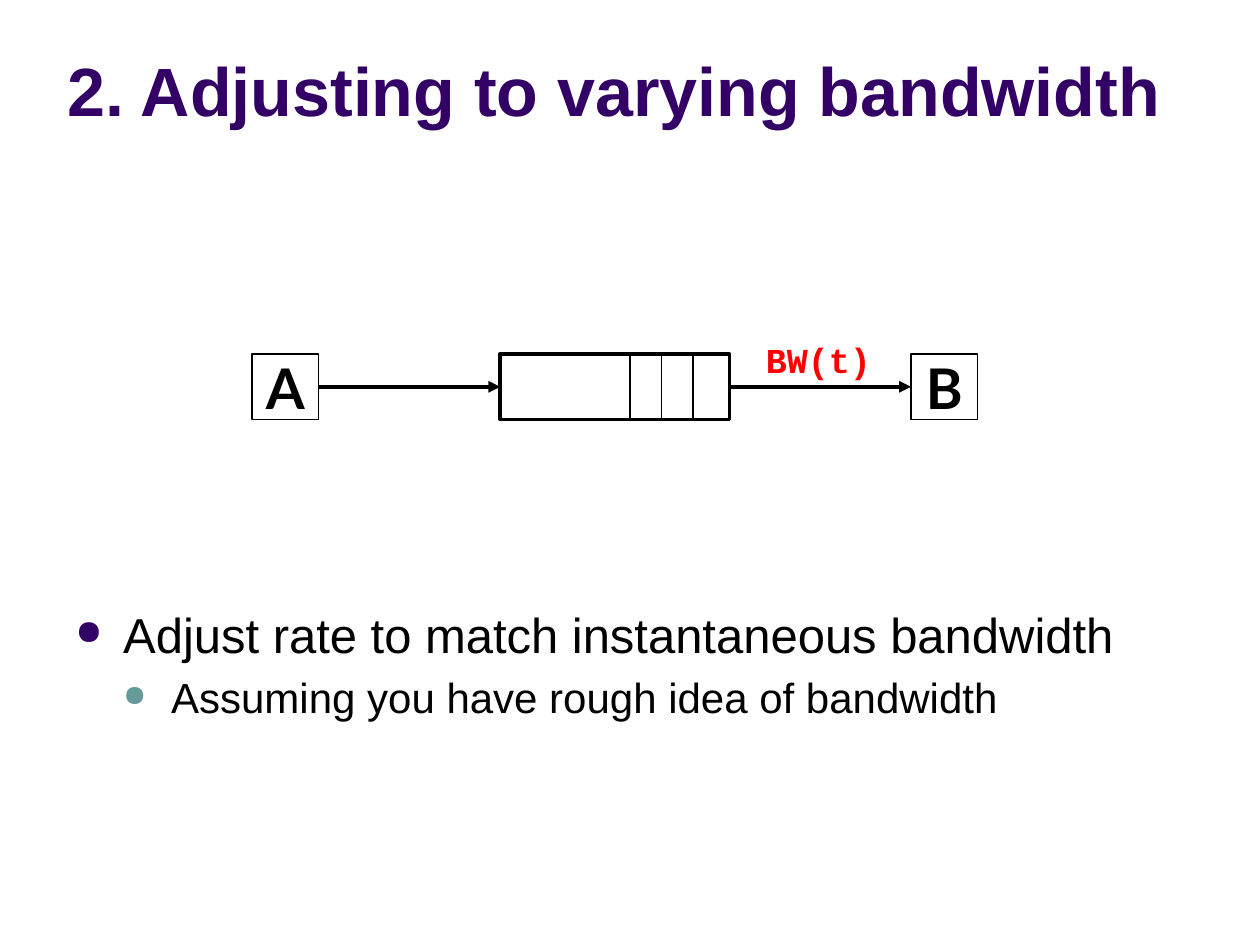
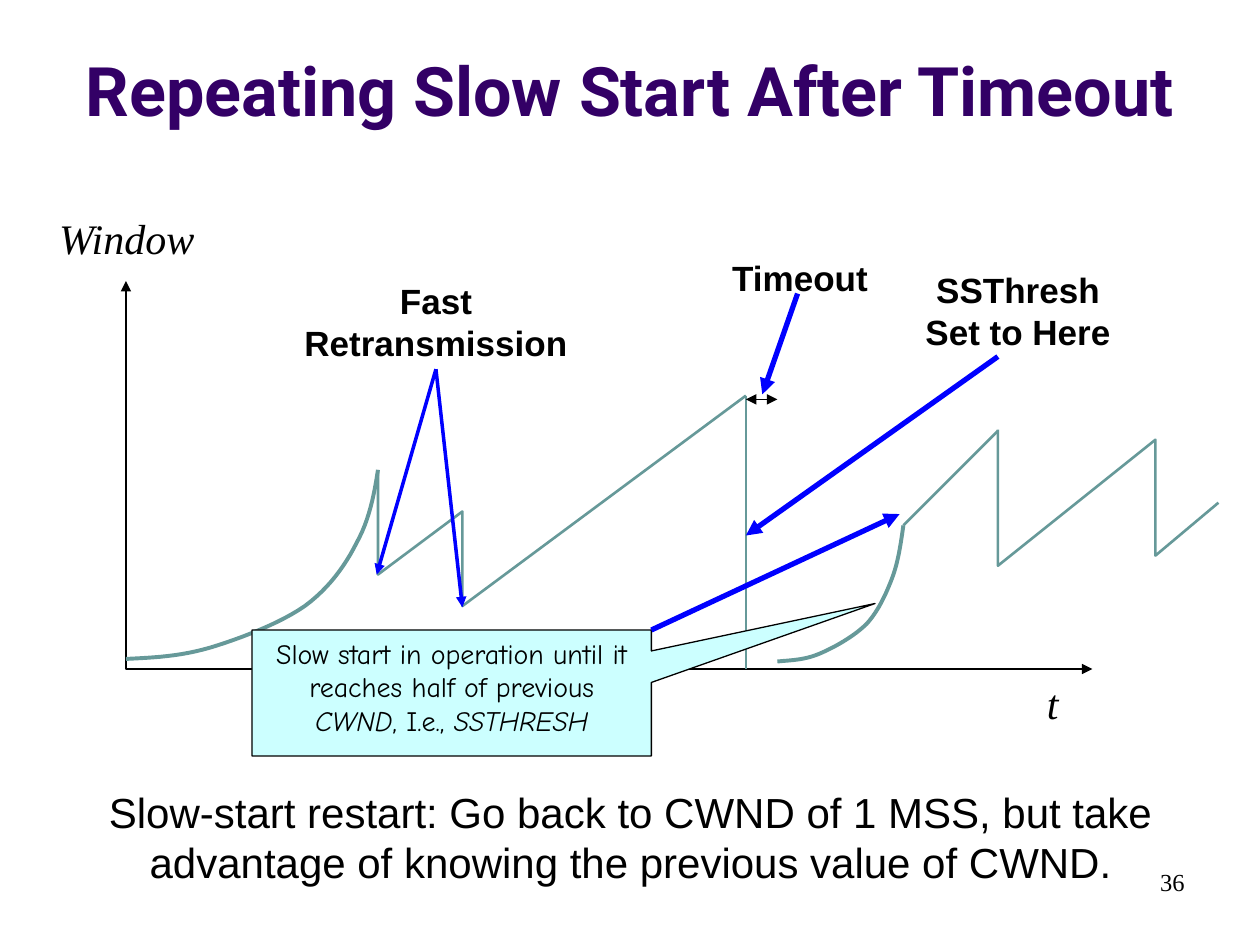
"""Build two slides on TCP congestion control: varying bandwidth and slow start after timeout."""
from pptx import Presentation
from pptx.dml.color import RGBColor
from pptx.enum import shapes, text
from pptx.oxml.ns import qn
from pptx.util import Inches, Pt
from lxml import etree

hex_color = RGBColor.from_string
PURPLE, TEAL, BLUE, BLACK, WHITE = "330066", "669999", "0000FF", "000000", "FFFFFF"
LEFT, CENTER, RIGHT = text.PP_ALIGN.LEFT, text.PP_ALIGN.CENTER, text.PP_ALIGN.RIGHT
TOP, MIDDLE, BOTTOM = text.MSO_ANCHOR.TOP, text.MSO_ANCHOR.MIDDLE, text.MSO_ANCHOR.BOTTOM


def write(shape, content, size, font="Arial", color=BLACK, bold=False, italic=False,
          align=CENTER, anchor=TOP, wrap=True):
    """Fill a shape with text, one paragraph a line; pieces between bars are italic."""
    frame = shape.text_frame
    frame.text = content.replace("|", "")
    frame.word_wrap, frame.vertical_anchor = wrap, anchor
    for paragraph, line in zip(frame.paragraphs, content.split("\n")):
        paragraph.alignment = align
        paragraph.clear()
        for index, piece in enumerate(line.split("|")):
            run = paragraph.add_run()
            run.text = piece
            run.font.size, run.font.name = Pt(size), font
            run.font.bold, run.font.italic = bold, italic or index % 2 == 1
            run.font.color.rgb = hex_color(color)
    return frame


def stroke(slide, points, color, width, ends=()):
    """Draw a line through points in inches, with arrowheads at the named ends."""
    points = [(Inches(x), Inches(y)) for x, y in points]
    if len(points) == 2:
        drawn = slide.shapes.add_connector(shapes.MSO_CONNECTOR.STRAIGHT, *points[0], *points[1])
    else:
        builder = slide.shapes.build_freeform(*points[0])
        builder.add_line_segments(points[1:], close=False)
        drawn = builder.convert_to_shape()
        drawn.fill.background()
    drawn.line.color.rgb = hex_color(color)
    drawn.line.width = Pt(width)
    properties = drawn._element.spPr
    for end in ends:
        etree.SubElement(properties.find(qn("a:ln")), qn(f"a:{end}End"), type="triangle")
    etree.SubElement(properties, qn("a:effectLst"))
    return drawn


deck = Presentation()
deck.slide_width, deck.slide_height = Inches(10), Inches(7.5)

slides = []
for title, font, left, width in [
    ("2. Adjusting to varying bandwidth", "Arial", -0.25, 10.25),
    ("Repeating Slow Start After Timeout", "Roboto", 0, 10),
]:
    slide = deck.slides.add_slide(deck.slide_layouts[6])
    heading = slide.shapes.add_textbox(Inches(left), Inches(0.13), Inches(width), Inches(0.95))
    write(heading, title, 39, font, PURPLE, bold=True, anchor=BOTTOM)
    slides.append(slide)
bandwidth, slow_start = slides

advice = bandwidth.shapes.add_textbox(Inches(0.5), Inches(4.75), Inches(9.33), Inches(1.96))
advice_frame = write(
    advice,
    "Adjust rate to match instantaneous bandwidth\nAssuming you have rough idea of bandwidth",
    28, align=LEFT)
for level, (paragraph, bullet_color) in enumerate(zip(advice_frame.paragraphs, [PURPLE, TEAL])):
    indent = paragraph._p.get_or_add_pPr()
    indent.set("marL", str(Inches(0.38 * (level + 1))))
    indent.set("indent", str(Inches(-0.38)))
    bullet = etree.SubElement(indent, qn("a:buClr"))
    etree.SubElement(bullet, qn("a:srgbClr"), val=bullet_color)
    etree.SubElement(indent, qn("a:buSzPct"), val="70000")
    etree.SubElement(indent, qn("a:buChar"), char="●")
    paragraph.level = level
    paragraph.runs[0].font.size = Pt(28 - 4 * level)
advice_frame.paragraphs[1].space_before = Pt(4.8)

nodes = []
for label, left, width, border in [("A", 2, 0.53, 0.75), ("", 3.97, 1.82, 2.25), ("B", 7.23, 0.53, 0.75)]:
    node = bandwidth.shapes.add_shape(
        shapes.MSO_SHAPE.RECTANGLE, Inches(left), Inches(2.81), Inches(width), Inches(0.52))
    node.shadow.inherit = False
    node.fill.solid()
    node.fill.fore_color.rgb = hex_color(WHITE)
    node.line.color.rgb = hex_color(BLACK)
    node.line.width = Pt(border)
    if label:
        frame = write(node, label, 32, "Lato", bold=True, anchor=MIDDLE, wrap=False)
        frame.margin_left = frame.margin_right = Inches(0.06)
        frame.margin_top = frame.margin_bottom = Inches(0.03)
    nodes.append(node)

for source, target, start, stop in zip(nodes, nodes[1:], [2.53, 5.79], [3.97, 7.23]):
    link = stroke(bandwidth, [(start, 3.07), (stop, 3.07)], BLACK, 2.25, ["tail"])
    link.begin_connect(source, 3)
    link.end_connect(target, 1)
for packet in range(3):
    x = 5 + 0.25 * packet
    stroke(bandwidth, [(x, 2.8), (x, 3.33)], BLACK, 1)
rate = bandwidth.shapes.add_textbox(Inches(5.98), Inches(2.64), Inches(1.04), Inches(0.43))
write(rate, "BW(t)", 20, "Courier New", "FF0000", bold=True, align=LEFT, wrap=False)

stroke(slow_start, [(1, 2.23), (1, 5.31), (8.67, 5.31)], BLACK, 1.5, ["head", "tail"])

first_growth = [(3, 3.73), (2.97, 3.93), (2.93, 4.13), (2.83, 4.31), (2.74, 4.49), (2.61, 4.67),
                (2.42, 4.81), (2.22, 4.95), (1.9, 5.07), (1.67, 5.14), (1.43, 5.21),
                (1.22, 5.22), (1, 5.23)]
second_growth = [(7.17, 4.17), (7.15, 4.31), (7.13, 4.46), (7.08, 4.59), (7.03, 4.72),
                 (6.97, 4.85), (6.88, 4.95), (6.78, 5.05), (6.62, 5.14), (6.5, 5.19),
                 (6.38, 5.24), (6.27, 5.24), (6.17, 5.25)]
for controls in [first_growth, second_growth]:
    curve = [controls[0]]
    for first in range(0, len(controls) - 1, 3):
        for step in range(1, 13):
            t = step / 12
            weights = [(1 - t) ** 3, 3 * t * (1 - t) ** 2, 3 * t ** 2 * (1 - t), t ** 3]
            curve.append([sum(w * point[axis] for w, point in zip(weights, controls[first:first + 4]))
                          for axis in range(2)])
    stroke(slow_start, curve, TEAL, 2.25)

for window in [
    [(3, 3.73), (3, 4.56), (3.67, 4.06), (3.67, 4.81), (5.92, 3.14)],
    [(5.92, 3.14), (5.92, 5.31)],
    [(7.92, 3.41), (7.92, 4.49), (9.17, 3.49), (9.17, 4.41), (9.67, 3.99)],
    [(7.17, 4.17), (7.92, 3.42)],
]:
    stroke(slow_start, window, TEAL, 1.5)

callout = slow_start.shapes.add_shape(
    shapes.MSO_SHAPE.RECTANGULAR_CALLOUT, Inches(2), Inches(5), Inches(3.17), Inches(1))
callout.adjustments[0], callout.adjustments[1] = 1.06, -0.71
callout.shadow.inherit = False
callout.fill.solid()
callout.fill.fore_color.rgb = hex_color("CCFFFF")
callout.line.color.rgb = hex_color(BLACK)
callout.line.width = Pt(0.75)
write(callout, "Slow start in operation until it reaches half of previous |CWND|, I.e., |SSTHRESH|",
      16, "Comic Neue")

for start, stop, width in [
    ((5.17, 5), (7.14, 4.08), 3),
    ((6.33, 2.33), (6.05, 3.13), 3),
    ((3.46, 2.93), (2.99, 4.56), 2),
    ((3.46, 2.93), (3.67, 4.82), 2),
    ((7.92, 2.83), (5.92, 4.25), 3),
]:
    stroke(slow_start, [start, stop], BLUE, width, ["tail"])
stroke(slow_start, [(5.92, 3.17), (6.17, 3.17)], BLACK, 0.75, ["head", "tail"])

axis_style = dict(size=24, font="Times New Roman", italic=True, align=LEFT, wrap=False)
event_style = dict(size=20, bold=True)
for content, left, top, width, height, style in [
    ("Window", 0.37, 1.64, 1.29, 0.5, axis_style),
    ("t", 8.21, 5.33, 0.29, 0.5, axis_style),
    ("Fast Retransmission", 2.17, 2.17, 2.58, 0.77, event_style),
    ("Timeout", 5.58, 1.99, 1.54, 0.43, event_style),
    ("SSThresh\nSet to Here", 7.08, 2.08, 2, 0.77, event_style),
    ("Slow-start restart: Go back to CWND of 1 MSS, but take advantage of knowing "
     "the previous value of CWND.", 0.72, 6.19, 8.57, 0.9, dict(size=24)),
    ("36", 7.17, 6.83, 2.33, 0.5, dict(size=14, font="Times New Roman", align=RIGHT)),
]:
    label = slow_start.shapes.add_textbox(Inches(left), Inches(top), Inches(width), Inches(height))
    write(label, content, **style)

deck.save("out.pptx")
